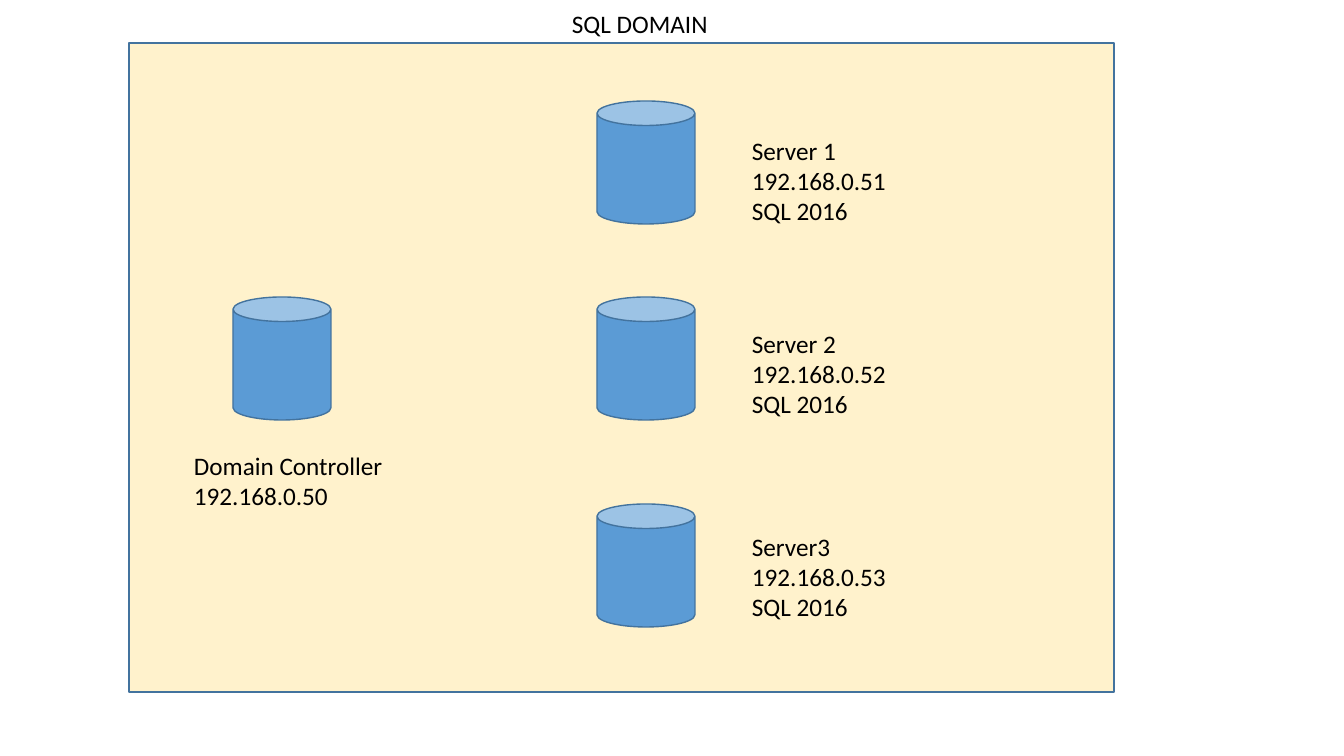
import pptx
import pptx.dml.color
import pptx.enum.shapes
import pptx.enum.text
import pptx.util

RGB = pptx.dml.color.RGBColor
KIND = pptx.enum.shapes.MSO_SHAPE
SCALE = 914400 / 100.8

CREAM = RGB(0xFF, 0xF2, 0xCC)
BLUE = RGB(0x5B, 0x9B, 0xD5)
EDGE = RGB(0x43, 0x73, 0x9E)
BLACK = RGB(0x00, 0x00, 0x00)

CAN_W, CAN_H = 98, 123
SERVERS = [
    (101, 130, 158, 132, "Server 1", "192.168.0.51"),
    (297, 323, 179, 194, "Server 2", "192.168.0.52"),
    (504, 526, 179, 163, "Server3", "192.168.0.53"),
]


def px(*nums):
    """Turn pixel lengths into EMU."""
    return [pptx.util.Emu(round(num * SCALE)) for num in nums]


def add_box(slide, kind, box, fill):
    """Draw a filled preset shape with a thin blue edge."""
    shape = slide.shapes.add_shape(kind, *px(*box))
    shape.shadow.inherit = False
    shape.fill.solid()
    shape.fill.fore_color.rgb = fill
    shape.line.color.rgb = EDGE
    shape.line.width = pptx.util.Pt(1)


def add_can(slide, left, top):
    """Draw one server cylinder."""
    add_box(slide, KIND.CAN, (left, top, CAN_W, CAN_H), BLUE)


def add_label(slide, box, lines):
    """Write a label with one paragraph per line."""
    frame = slide.shapes.add_textbox(*px(*box)).text_frame
    frame.word_wrap = True
    frame.auto_size = pptx.enum.text.MSO_AUTO_SIZE.SHAPE_TO_FIT_TEXT
    for rank, line in enumerate(lines):
        para = frame.add_paragraph() if rank else frame.paragraphs[0]
        run = para.add_run()
        run.text = line
        run.font.name = "Calibri"
        run.font.size = pptx.util.Pt(18)
        run.font.color.rgb = BLACK


def main():
    """Build the domain slide and save it."""
    deck = pptx.Presentation()
    deck.slide_width, deck.slide_height = px(1344, 756)
    slide = deck.slides.add_slide(deck.slide_layouts[6])

    add_box(slide, KIND.RECTANGLE, (129, 43, 985, 649), CREAM)
    add_label(slide, (562, 3, 166, 40), ["SQL DOMAIN"])

    add_can(slide, 233, 297)
    add_label(slide, (184, 445, 225, 72), ["Domain Controller", "192.168.0.50"])

    for can_top, top, width, height, name, address in SERVERS:
        add_can(slide, 597, can_top)
        add_label(slide, (742, top, width, height), [name, address, "SQL 2016"])

    deck.save("out.pptx")


if __name__ == "__main__":
    main()
